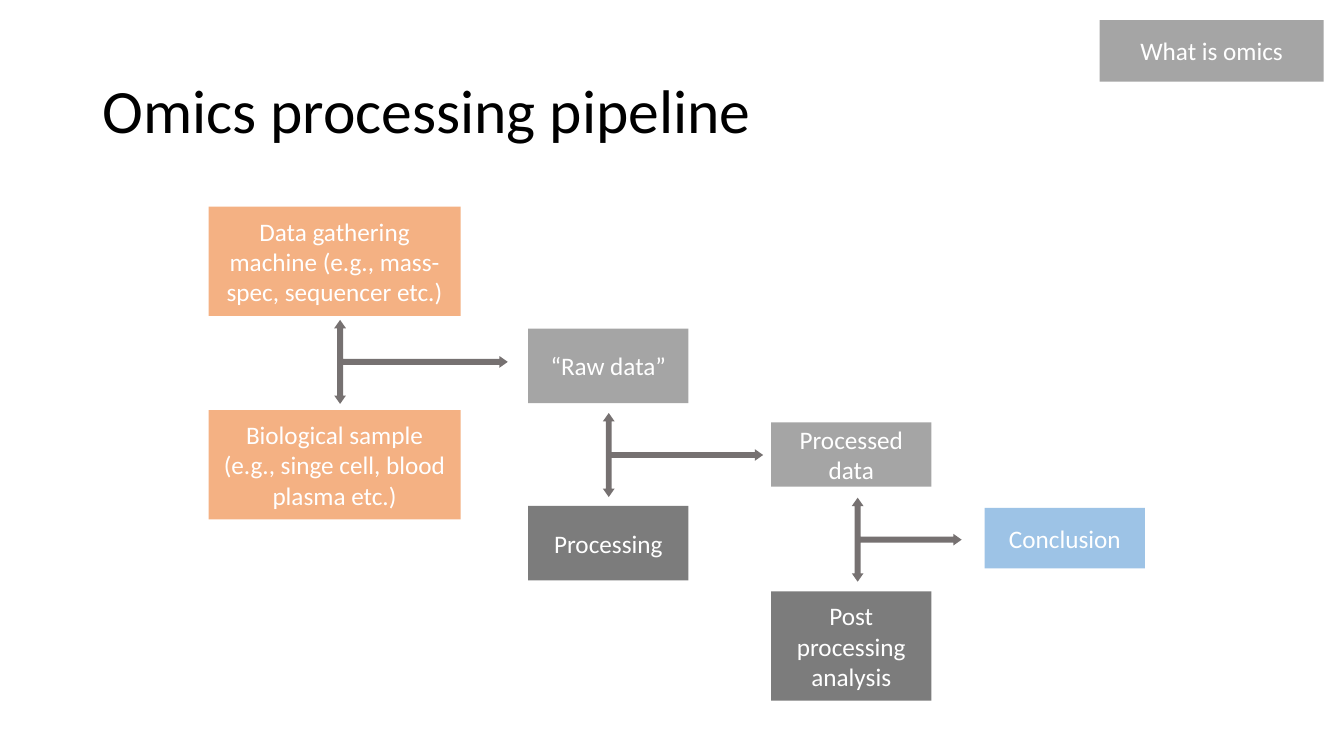
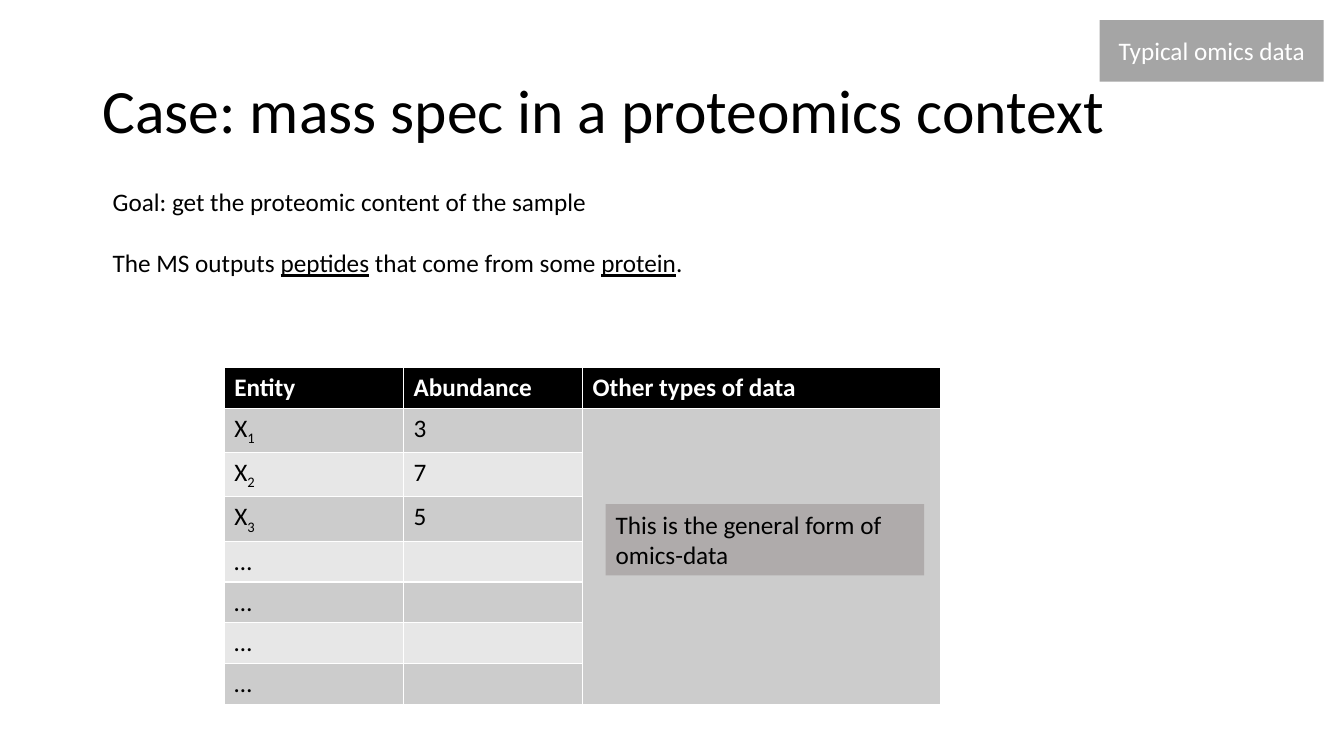
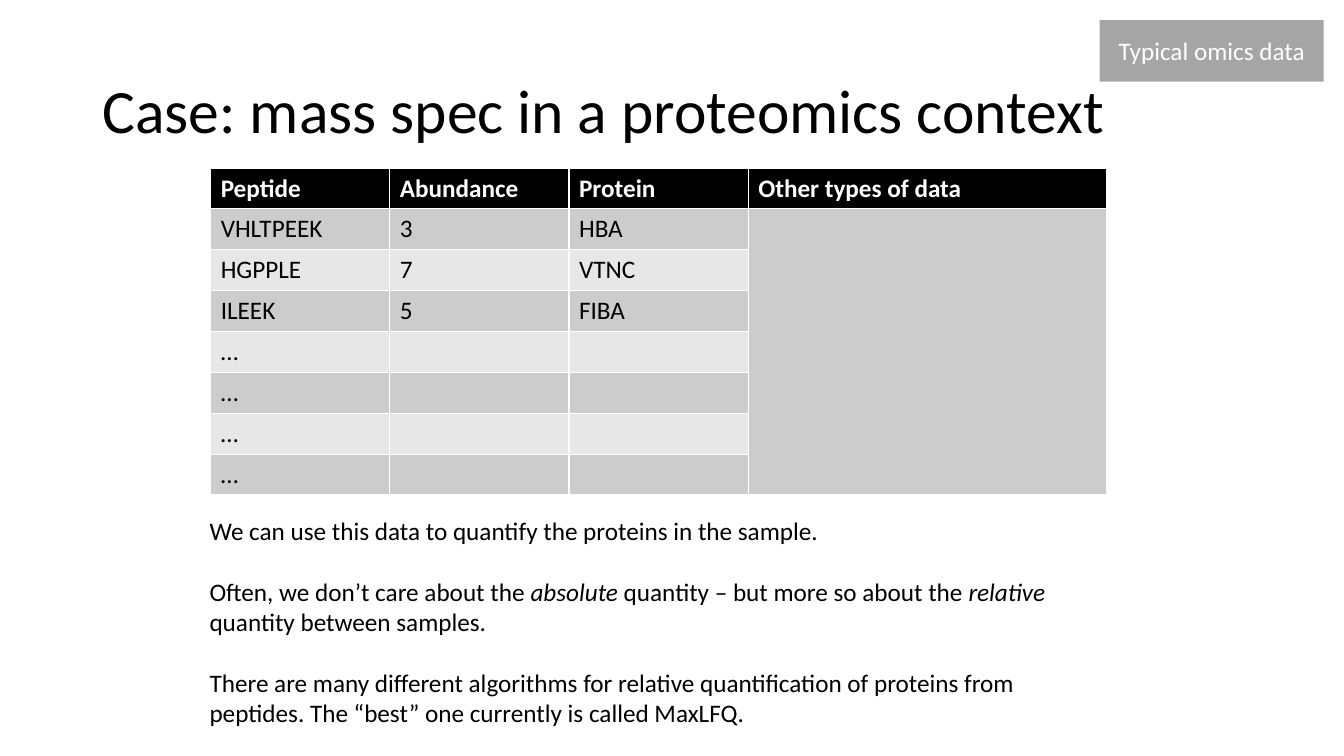
"""Build three slides on omics pipelines and typical proteomics data."""
import pptx
import pptx.util
import pptx.dml.color
import pptx.enum.shapes
import pptx.enum.text

Pt = pptx.util.Pt
ALIGN = pptx.enum.text.PP_ALIGN
ANCHOR = pptx.enum.text.MSO_ANCHOR
SHAPE = pptx.enum.shapes.MSO_SHAPE

COLOURS = {
    "black": "000000",
    "white": "FFFFFF",
    "data": "A5A5A5",
    "source": "F4B183",
    "analysis": "7C7C7C",
    "result": "9DC3E6",
    "arrow": "767171",
    "callout": "AFABAB",
    "odd row": "CCCCCC",
    "even row": "E7E7E7",
}


class Deck:
    """Hold the shared style and the current slide."""

    font = "Calibri"
    body_size = 18
    title_size = 44
    blank_line = 22

    def __init__(self):
        self.presentation = pptx.Presentation()
        self.presentation.slide_width = Pt(960)
        self.presentation.slide_height = Pt(540)
        self.slide = None

    def colour(self, name):
        return pptx.dml.color.RGBColor.from_string(COLOURS[name])

    def paint(self, fill, name):
        fill.solid()
        fill.fore_color.rgb = self.colour(name)

    def style(self, run, colour="black", size=body_size, bold=None):
        run.font.name = self.font
        run.font.size = Pt(size)
        run.font.bold = bold
        run.font.color.rgb = self.colour(colour)

    def fill_text(self, frame, paragraphs, colour="black", align=ALIGN.LEFT, bold=None):
        for index, pieces in enumerate(paragraphs):
            paragraph = frame.add_paragraph() if index else frame.paragraphs[0]
            paragraph.alignment = align
            if index:
                paragraph.space_before = Pt(self.blank_line)
            for text, emphasis in pieces:
                run = paragraph.add_run()
                run.text = text
                self.style(run, colour, bold=bold)
                if emphasis == "subscript":
                    run.font._element.set("baseline", "-25000")
                elif emphasis == "italic":
                    run.font.italic = True
                elif emphasis == "underline":
                    run.font.underline = True

    def start(self, title, section):
        self.slide = self.presentation.slides.add_slide(self.presentation.slide_layouts[5])
        heading = self.slide.shapes.title
        heading.left, heading.top, heading.width, heading.height = Pt(66), Pt(28.75), Pt(828), Pt(104.4)
        frame = heading.text_frame
        frame.text = title
        frame.vertical_anchor = ANCHOR.MIDDLE
        frame.paragraphs[0].alignment = ALIGN.LEFT
        frame.paragraphs[0].line_spacing = 0.9
        self.style(frame.paragraphs[0].runs[0], size=self.title_size)
        self.box(section, 785.5, 14.4, 160, 44, "data")

    def shape(self, kind, left, top, width, height, fill):
        shape = self.slide.shapes.add_shape(kind, Pt(left), Pt(top), Pt(width), Pt(height))
        shape.shadow.inherit = False
        self.paint(shape.fill, fill)
        shape.line.fill.background()
        return shape

    def box(self, text, left, top, width, height, fill, colour="white", align=ALIGN.CENTER):
        frame = self.shape(SHAPE.RECTANGLE, left, top, width, height, fill).text_frame
        frame.word_wrap = True
        frame.vertical_anchor = ANCHOR.MIDDLE
        self.fill_text(frame, [[(text, None)]], colour, align)

    def branch_arrow(self, left, top, reach, span=60):
        middle_x, middle_y = left + reach / 2, top + span / 2
        arrow = self.shape(SHAPE.LEFT_RIGHT_UP_ARROW, middle_x - span / 2,
                           middle_y - reach / 2, span, reach, "arrow")
        arrow.rotation = 90
        for index, value in enumerate((0.07, 0.07, 0.1)):
            arrow.adjustments[index] = value

    def text(self, paragraphs, left, top, width, height):
        frame = self.slide.shapes.add_textbox(Pt(left), Pt(top), Pt(width), Pt(height)).text_frame
        frame.word_wrap = True
        self.fill_text(frame, paragraphs)

    def table(self, headings, records, left, top, column=128, row=29.2):
        rows = [[[(heading, None)] for heading in headings]] + records
        widths = [column] * (len(headings) - 1) + [2 * column]
        table = self.slide.shapes.add_table(len(rows), len(widths), Pt(left), Pt(top),
                                            Pt(sum(widths)), Pt(row * len(rows))).table
        for index, width in enumerate(widths):
            table.columns[index].width = Pt(width)
        for r, record in enumerate(rows):
            table.rows[r].height = Pt(row)
            fill = "black" if r == 0 else "odd row" if r % 2 else "even row"
            for c in range(len(widths)):
                cell = table.cell(r, c)
                self.paint(cell.fill, fill)
                if c < len(record):
                    self.fill_text(cell.text_frame, [record[c]],
                                   "black" if r else "white", bold=r == 0)
        last = len(widths) - 1
        table.cell(1, last).merge(table.cell(len(rows) - 1, last))


def main():
    deck = Deck()
    more_rows = [[[("…", None)]]] * 4
    abundances = ("3", "7", "5")

    deck.start("Omics processing pipeline", "What is omics")
    for step in (
        ("Data gathering machine (e.g., mass-spec, sequencer etc.)", 149, 147.6, 180, 78, "source"),
        ("Biological sample (e.g., singe cell, blood plasma etc.)", 149, 293, 180, 78, "source"),
        ("“Raw data”", 377.3, 234.7, 114.5, 53.3, "data"),
        ("Processing", 377.3, 361.4, 114.5, 53.3, "analysis"),
        ("Processed data", 550.8, 301.7, 114.5, 46, "data"),
        ("Post processing analysis", 550.8, 422.5, 114.5, 78, "analysis"),
        ("Conclusion", 703.4, 362.8, 114.5, 43.2, "result"),
    ):
        deck.box(*step)
    for left, top, reach in ((238.7, 228.5, 124), (430.6, 295, 114.5), (608.4, 355.5, 78.5)):
        deck.branch_arrow(left, top, reach)

    case = "Case: mass spec in a proteomics context"
    section = "Typical omics data"

    deck.start(case, section)
    entities = [[[("X", None), (str(number), "subscript")], [(abundance, None)]]
                for number, abundance in enumerate(abundances, 1)]
    deck.table(("Entity", "Abundance", "Other types of data"), entities + more_rows, 160.2, 262.4)
    deck.text([
        [("Goal: get the proteomic content of the sample", None)],
        [("The MS outputs ", None), ("peptides", "underline"),
         (" that come from some ", None), ("protein", "underline"), (".", None)],
    ], 73.4, 129.6, 767.5, 72.7)
    deck.box("This is the general form of omics-data", 432.7, 360, 227.5, 51,
             "callout", "black", ALIGN.LEFT)

    deck.start(case, section)
    deck.text([
        [("We can use this data to quantify the proteins in the sample.", None)],
        [("Often, we don’t care about the ", None), ("absolute ", "italic"),
         ("quantity – but more so about the ", None), ("relative ", "italic"),
         ("quantity between samples.", None)],
        [("There are many different algorithms for relative quantification of proteins "
          "from peptides. The “best” one currently is called MaxLFQ.", None)],
    ], 142.6, 364.5, 648, 160)
    peptides = [[[(entry, None)] for entry in record] for record in
                zip(("VHLTPEEK", "HGPPLE", "ILEEK"), abundances, ("HBA", "VTNC", "FIBA"))]
    deck.table(("Peptide", "Abundance", "Protein", "Other types of data"),
               peptides + more_rows, 150.5, 120)

    deck.presentation.save("out.pptx")


if __name__ == "__main__":
    main()
